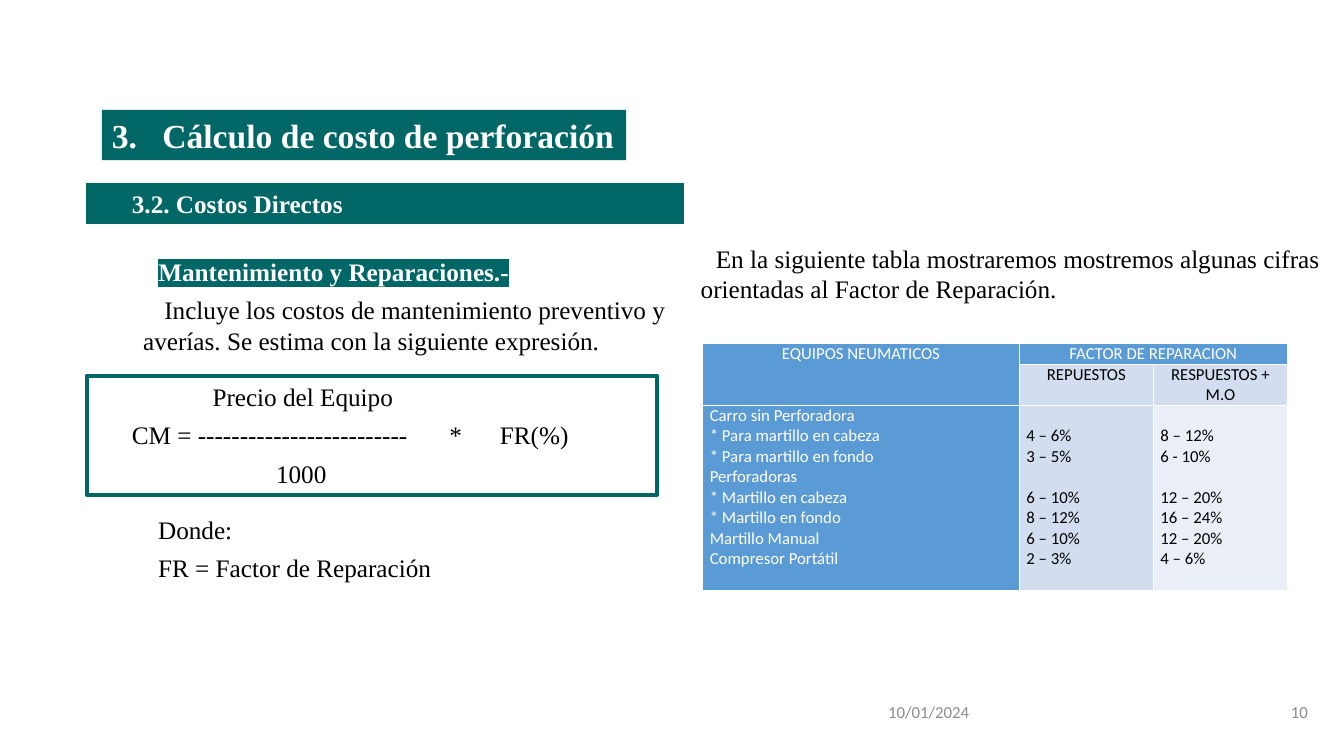
from lxml.etree import SubElement
from pptx import Presentation
from pptx.dml.color import RGBColor
from pptx.enum.shapes import MSO_SHAPE
from pptx.enum.text import MSO_ANCHOR, MSO_AUTO_SIZE, PP_ALIGN
from pptx.oxml.ns import qn
from pptx.util import Pt

PX = 9144  # 100 px to the inch
TEAL = RGBColor(0x00, 0x66, 0x66)
BLUE = RGBColor(0x5B, 0x9B, 0xD5)
PALE_BLUE = RGBColor(0xD2, 0xDE, 0xEF)
PALER_BLUE = RGBColor(0xEA, 0xEF, 0xF7)
GRAY = RGBColor(0x8C, 0x8C, 0x8C)
WHITE = RGBColor(0xFF, 0xFF, 0xFF)
BLACK = RGBColor(0x00, 0x00, 0x00)
SERIF = "Times New Roman"
SANS = "Calibri"
TABLE_LINE = 14.65  # height in points of one line of table text

EQUIPMENT = ["Carro sin Perforadora", "* Para martillo en cabeza", "* Para martillo en fondo",
             "Perforadoras", "* Martillo en cabeza", "* Martillo en fondo",
             "Martillo Manual", "Compresor Portátil"]
SPARE_PARTS = ["4 – 6%", "3 – 5%", "6 – 10%", "8 – 12%", "6 – 10%", "2 – 3%"]
PARTS_AND_LABOUR = ["8 – 12%", "6 - 10%", "12 – 20%", "16 – 24%", "12 – 20%", "4 – 6%"]
SECOND_GROUP = 2  # first value of the "Perforadoras" group


def px(*lengths):
    return [length * PX for length in lengths]


def write(frame, text, size=18, font=SERIF, color=BLACK, bold=False, margin=0, indent=0,
          before=0, after=0, tabs=(), align=PP_ALIGN.LEFT, highlight=None):
    """Add one paragraph, filling the first one if the frame is still empty."""
    paragraph = frame.add_paragraph() if frame.text else frame.paragraphs[0]
    properties = paragraph._p.get_or_add_pPr()
    properties.set("marL", str(margin * PX))
    properties.set("indent", str(indent * PX))
    SubElement(properties, qn("a:buNone"))
    if tabs:
        tab_list = SubElement(properties, qn("a:tabLst"))
        for position in tabs:
            SubElement(tab_list, qn("a:tab"), pos=str(position * PX), algn="l")
    paragraph.alignment = align
    paragraph.space_before = Pt(before)
    paragraph.space_after = Pt(after)
    run = paragraph.add_run()
    run.text = text
    run.font.size = Pt(size)
    run.font.name = font
    run.font.bold = bold
    run.font.color.rgb = color
    if highlight is not None:
        run_properties = run._r.get_or_add_rPr()
        marker = SubElement(run_properties, qn("a:highlight"))
        SubElement(marker, qn("a:srgbClr"), val=str(highlight))
        run_properties.find(qn("a:solidFill")).addnext(marker)


def prepare(shape, anchor=MSO_ANCHOR.TOP):
    frame = shape.text_frame
    frame.word_wrap = True
    frame.auto_size = MSO_AUTO_SIZE.NONE
    frame.vertical_anchor = anchor
    return frame


def move(shape, left, top, width, height):
    shape.left, shape.top, shape.width, shape.height = px(left, top, width, height)


def add_panel(slide, box, fill, line_width):
    panel = slide.shapes.add_shape(MSO_SHAPE.RECTANGLE, *px(*box))
    panel.shadow.inherit = False
    if fill is None:
        panel.fill.background()
    else:
        panel.fill.solid()
        panel.fill.fore_color.rgb = fill
    panel.line.color.rgb = TEAL
    panel.line.width = Pt(line_width)
    return prepare(panel)


def add_headings(slide, left, top):
    title = slide.shapes.title
    move(title, left + 15, top, 520, 50)
    title.fill.solid()
    title.fill.fore_color.rgb = TEAL
    write(prepare(title), "3.\tCálculo de costo de perforación", size=24, color=WHITE,
          bold=True, tabs=[33])
    subtitle = add_panel(slide, (left, top + 73, 592, 40), TEAL, 0.75)
    write(subtitle, "3.2. Costos Directos", color=WHITE, bold=True, margin=20, indent=15, after=6)


def add_explanation(slide, body, left, top):
    move(body, left + 26, top, 566, 109)
    frame = prepare(body)
    write(frame, "Mantenimiento y Reparaciones.-", color=WHITE, bold=True, margin=20,
          indent=15, after=6, highlight=TEAL)
    write(frame, "Incluye los costos de mantenimiento preventivo y averías. "
          "Se estima con la siguiente expresión.", margin=20, indent=21, after=6)

    formula = add_panel(slide, (left, top + 124, 566, 118), None, 3)
    write(formula, "Precio del Equipo", indent=115, after=6)
    write(formula, "CM = -------------------------\t*\tFR(%)", indent=35, after=6, tabs=[327, 370])
    write(formula, "1000", indent=178, after=6)

    legend = prepare(slide.shapes.add_textbox(*px(left + 26, top + 256, 667, 79)))
    for text in ("Donde:", "FR = Factor de Reparación"):
        write(legend, text, margin=20, indent=15, after=6)


def add_table_intro(body, left, top):
    move(body, left, top, 635, 71)
    write(prepare(body), "En la siguiente tabla mostraremos mostremos algunas cifras "
          "orientadas al Factor de Reparación.", indent=15, after=6)


def format_cell(cell, fill):
    cell.margin_left = cell.margin_right = 7 * PX
    cell.margin_top = cell.margin_bottom = 0
    properties = cell._tc.get_or_add_tcPr()
    for side in ("a:lnL", "a:lnR", "a:lnT", "a:lnB"):
        line = SubElement(properties, qn(side), w=str(Pt(1)))
        SubElement(SubElement(line, qn("a:solidFill")), qn("a:srgbClr"), val=str(WHITE))
    cell.fill.solid()
    cell.fill.fore_color.rgb = fill


def add_factor_table(slide, left, top):
    column_widths, row_heights = (314, 133, 133), (19, 39, 184)
    table = slide.shapes.add_table(3, 3, *px(left, top, sum(column_widths),
                                             sum(row_heights))).table
    for column, width in zip(table.columns, column_widths):
        column.width = width * PX
    for row, height in zip(table.rows, row_heights):
        row.height = height * PX
    fills = ((BLUE, BLUE, BLUE), (BLUE, PALE_BLUE, PALE_BLUE), (BLUE, PALE_BLUE, PALER_BLUE))
    for row, row_fills in enumerate(fills):
        for column, fill in enumerate(row_fills):
            format_cell(table.cell(row, column), fill)
    table.cell(0, 0).merge(table.cell(1, 0))
    table.cell(0, 1).merge(table.cell(0, 2))

    headers = ((0, 0, "EQUIPOS NEUMATICOS", WHITE), (0, 1, "FACTOR DE REPARACION", WHITE),
               (1, 1, "REPUESTOS", BLACK), (1, 2, "RESPUESTOS + M.O", BLACK))
    for row, column, text, color in headers:
        write(table.cell(row, column).text_frame, text, size=12, font=SANS, color=color,
              align=PP_ALIGN.CENTER)
    for text in EQUIPMENT:
        write(table.cell(2, 0).text_frame, text, size=12, font=SANS, color=WHITE)
    for column, values in enumerate((SPARE_PARTS, PARTS_AND_LABOUR), start=1):
        cell = table.cell(2, column)
        cell.margin_top = Pt(TABLE_LINE)
        for index, value in enumerate(values):
            write(cell.text_frame, value, size=12, font=SANS,
                  before=TABLE_LINE if index == SECOND_GROUP else 0)


def add_footer(slide, top):
    for left, width, text, align in ((871, 358, "10/01/2024", PP_ALIGN.LEFT),
                                     (1237, 70, "10", PP_ALIGN.RIGHT)):
        box = slide.shapes.add_textbox(*px(left, top, width, 40))
        write(prepare(box, MSO_ANCHOR.MIDDLE), text, size=12, font=SANS, color=GRAY, align=align)


def main():
    presentation = Presentation()
    presentation.slide_width, presentation.slide_height = px(1333, 750)
    two_content_layout = presentation.slide_layouts[3]
    slide = presentation.slides.add_slide(two_content_layout)
    add_headings(slide, 86, 109)
    add_explanation(slide, slide.placeholders[1], 86, 249)
    add_table_intro(slide.placeholders[2], 685, 236)
    add_factor_table(slide, 697, 341)
    add_footer(slide, 686)
    presentation.save("out.pptx")


if __name__ == "__main__":
    main()
